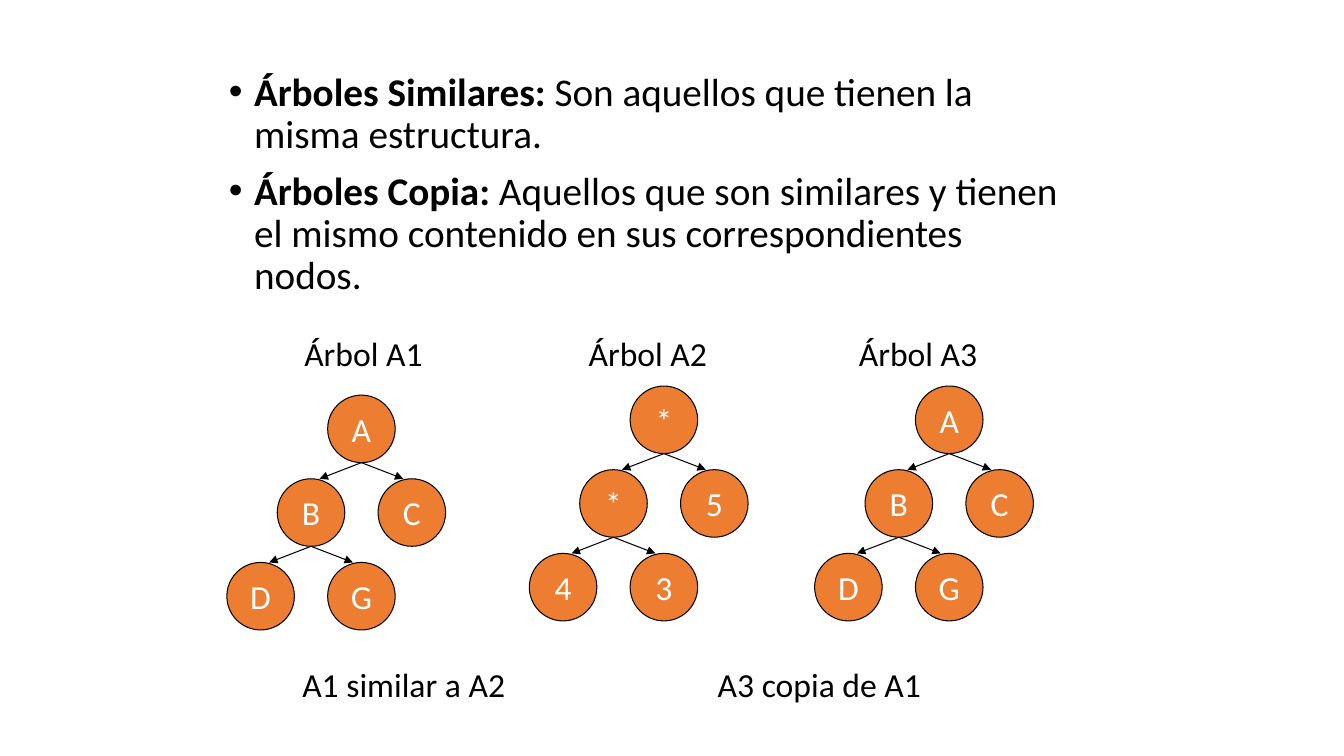
import pptx
import pptx.util
import pptx.dml.color
import pptx.enum.shapes
import pptx.enum.text
import pptx.oxml.ns
from lxml import etree

Inches, Pt = pptx.util.Inches, pptx.util.Pt
RGBColor = pptx.dml.color.RGBColor
qn = pptx.oxml.ns.qn

BLACK = RGBColor(0x00, 0x00, 0x00)
WHITE = RGBColor(0xFF, 0xFF, 0xFF)
ORANGE = RGBColor(0xED, 0x7D, 0x31)

FONT = "Calibri"
NODE = 0.67            # node diameter
STEP_X, STEP_Y = 0.5, 0.83
# Node places as (column, level) steps from the root, and parent-child pairs
PLACES = [(0, 0), (-1, 1), (1, 1), (-2, 2), (0, 2)]
EDGES = [(0, 1), (0, 2), (1, 3), (1, 4)]

# Root left, root top, node letters
TREES = [
    (3.25, 3.92, "ABCDG"),
    (6.25, 3.83, "**543"),
    (9.08, 3.83, "ABCDG"),
]
# Left, top, width, text
LABELS = [
    (2.92, 3.25, 1.5, "Árbol A1"),
    (5.74, 3.25, 1.5, "Árbol A2"),
    (8.42, 3.25, 1.5, "Árbol A3"),
    (2.9, 6.54, 2.4, "A1 similar a A2"),
    (7.02, 6.54, 2.4, "A3 copia de A1"),
]
DEFINITIONS = [
    ("Árboles Similares:", " Son aquellos que tienen la misma estructura."),
    ("Árboles Copia:", " Aquellos que son similares y tienen el mismo "
                       "contenido en sus correspondientes nodos."),
]


def add_run(p, text, size=24, color=BLACK, bold=False):
    r = p.add_run()
    r.text = text
    r.font.name = FONT
    r.font.size = Pt(size)
    r.font.bold = bold
    r.font.color.rgb = color


def add_bullet(p):
    pPr = p._p.get_or_add_pPr()
    pPr.set("marL", str(Inches(0.25)))
    pPr.set("indent", str(-Inches(0.25)))
    etree.SubElement(pPr, qn("a:buFont")).set("typeface", "Arial")
    etree.SubElement(pPr, qn("a:buChar")).set("char", "•")


def fill_definitions(body):
    body.left, body.top = Inches(2.17), Inches(0.67)
    body.width, body.height = Inches(8.5), Inches(2.67)
    tf = body.text_frame
    tf.auto_size = pptx.enum.text.MSO_AUTO_SIZE.NONE
    tf.vertical_anchor = pptx.enum.text.MSO_ANCHOR.TOP
    for i, (term, meaning) in enumerate(DEFINITIONS):
        p = tf.add_paragraph() if i else tf.paragraphs[0]
        add_bullet(p)
        p.line_spacing = 0.9
        p.space_before = Pt(10 if i else 0)
        add_run(p, term, size=28, bold=True)
        add_run(p, meaning, size=28)


def add_node(shapes, x, y, letter):
    sp = shapes.add_shape(pptx.enum.shapes.MSO_SHAPE.OVAL,
                          Inches(x), Inches(y), Inches(NODE), Inches(NODE))
    sp.shadow.inherit = False
    sp.fill.solid()
    sp.fill.fore_color.rgb = ORANGE
    sp.line.color.rgb = BLACK
    sp.line.width = Pt(0.75)
    tf = sp.text_frame
    tf.word_wrap = False
    tf.vertical_anchor = pptx.enum.text.MSO_ANCHOR.MIDDLE
    p = tf.paragraphs[0]
    p.alignment = pptx.enum.text.PP_ALIGN.CENTER
    add_run(p, letter, color=WHITE)


def add_arrow(shapes, x1, y1, x2, y2):
    line = shapes.add_connector(pptx.enum.shapes.MSO_CONNECTOR.STRAIGHT,
                                Inches(x1), Inches(y1), Inches(x2), Inches(y2))
    line.line.color.rgb = BLACK
    line.line.width = Pt(0.75)
    etree.SubElement(line.line._get_or_add_ln(), qn("a:tailEnd")).set("type", "triangle")
    etree.SubElement(line._element.spPr, qn("a:effectLst"))


def add_tree(s, left, top, letters):
    shapes = s.shapes.add_group_shape().shapes
    spots = [(left + col * STEP_X, top + level * STEP_Y) for col, level in PLACES]
    for (x, y), letter in zip(spots, letters):
        add_node(shapes, x, y, letter)
    for parent, child in EDGES:
        (px, py), (cx, cy) = spots[parent], spots[child]
        # Arrows land a little inside the child's centre, on the parent's side
        reach = 0.42 if cx < px else 0.25
        add_arrow(shapes, px + NODE / 2, py + NODE, cx + reach, cy)


def add_label(s, left, top, width, text):
    box = s.shapes.add_textbox(Inches(left), Inches(top), Inches(width), Inches(0.51))
    box.text_frame.word_wrap = True
    add_run(box.text_frame.paragraphs[0], text)


def main():
    prs = pptx.Presentation()
    prs.slide_width, prs.slide_height = Inches(13.33), Inches(7.5)
    s = prs.slides.add_slide(prs.slide_layouts[1])

    # Definitions, in the body placeholder; the slide has no title
    title = s.shapes.title._element
    title.getparent().remove(title)
    fill_definitions(s.placeholders[1])

    # Trees and their captions
    for tree in TREES:
        add_tree(s, *tree)
    for label in LABELS:
        add_label(s, *label)

    prs.save("out.pptx")


if __name__ == "__main__":
    main()
